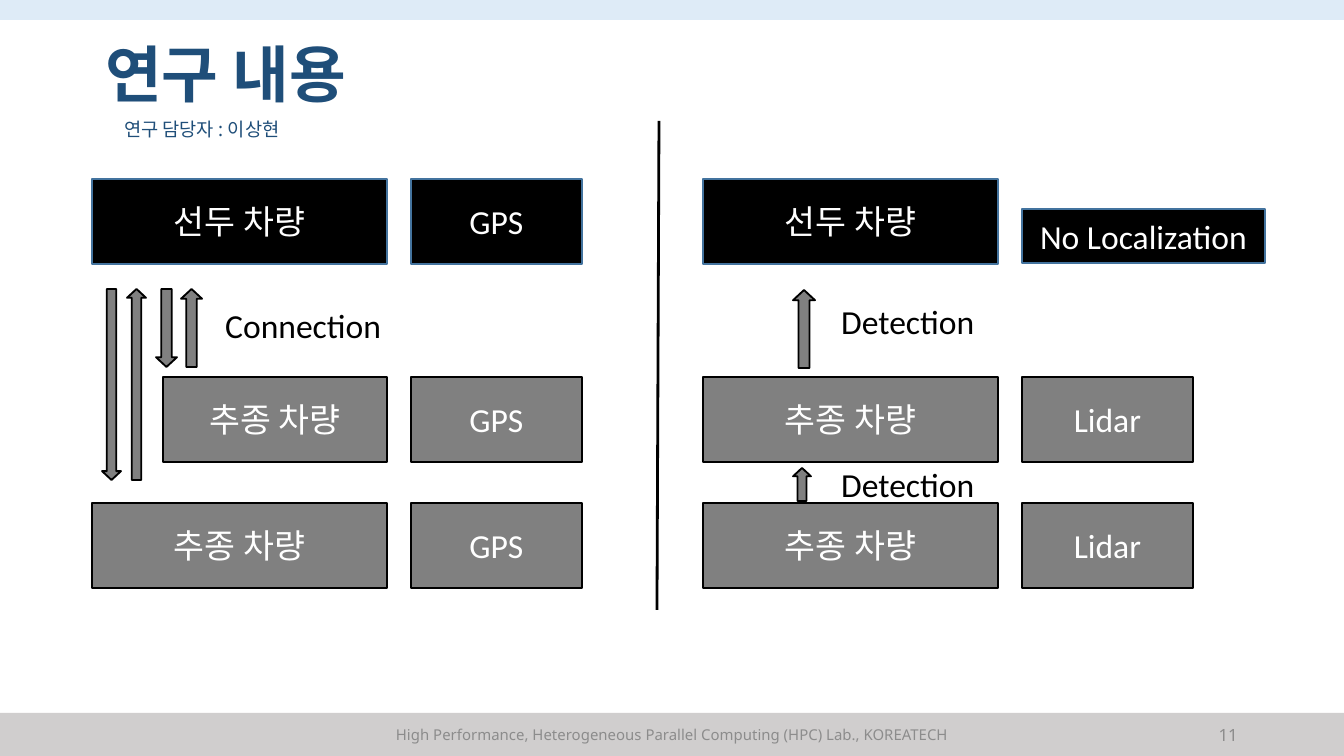
from dataclasses import dataclass

from lxml.etree import SubElement
from pptx import Presentation
from pptx.dml.color import RGBColor
from pptx.enum.shapes import MSO_CONNECTOR, MSO_SHAPE
from pptx.enum.text import MSO_ANCHOR, PP_ALIGN
from pptx.oxml.ns import qn
from pptx.util import Pt

PX = 914400 / 134.4
WIDTH, HEIGHT = 1344, 756


@dataclass(frozen=True)
class Theme:
    navy: str = "1F4E79"
    top_band: str = "DEEBF7"
    bottom_band: str = "D0CECE"
    muted: str = "8C8C8C"
    black: str = "000000"
    gray: str = "808080"
    outline: str = "43739E"
    white: str = "FFFFFF"
    heading_font: str = "Noto Sans"
    body_font: str = "Calibri"
    title: int = 33
    body: int = 18
    subtitle: int = 10
    number: int = 9
    footer: int = 8


THEME = Theme()
BOX_HEIGHT = 85
VEHICLE_WIDTH, SENSOR_WIDTH, SENSOR_LEFT = 295, 171, 319
FOLLOWER_ROWS = (198, 324)


def emu(*lengths):
    return [round(length * PX) for length in lengths]


def write(shape, text, size, color, font, align=PP_ALIGN.LEFT, bold=False, spacing=None):
    paragraph = shape.text_frame.paragraphs[0]
    paragraph.text = text
    paragraph.alignment = align
    paragraph.line_spacing = spacing
    paragraph.font.size = Pt(size)
    paragraph.font.name = font
    paragraph.font.bold = bold
    paragraph.font.color.rgb = RGBColor.from_string(color)


def add_text(slide, box, text, size, color, font=THEME.heading_font,
             anchor=MSO_ANCHOR.MIDDLE, wrap=True, **style):
    shape = slide.shapes.add_textbox(*emu(*box))
    shape.text_frame.word_wrap = wrap
    shape.text_frame.vertical_anchor = anchor
    write(shape, text, size, color, font, **style)


def add_filled(slide, kind, box, fill, line=None):
    shape = slide.shapes.add_shape(kind, *emu(*box))
    shape.shadow.inherit = False
    shape.fill.solid()
    shape.fill.fore_color.rgb = RGBColor.from_string(fill)
    if line:
        shape.line.color.rgb = RGBColor.from_string(line)
        shape.line.width = Pt(1)
    else:
        shape.line.fill.background()
    return shape


def add_node(slide, box, text, leader=False):
    fill, line = (THEME.black, THEME.outline) if leader else (THEME.gray, THEME.black)
    shape = add_filled(slide, MSO_SHAPE.RECTANGLE, box, fill, line)
    shape.text_frame.vertical_anchor = MSO_ANCHOR.MIDDLE
    write(shape, text, THEME.body, THEME.white, THEME.body_font, PP_ALIGN.CENTER)


def add_arrow(slide, box, up=True):
    shape = add_filled(slide, MSO_SHAPE.DOWN_ARROW, box, THEME.gray, THEME.black)
    shape.adjustments[0] = 0.5
    shape.adjustments[1] = 0.463
    shape.rotation = 180 if up else 0


def add_label(slide, box, text):
    add_text(slide, box, text, THEME.body, THEME.black, THEME.body_font,
             anchor=MSO_ANCHOR.TOP, wrap=False)


def add_bands(slide, width, height):
    add_filled(slide, MSO_SHAPE.RECTANGLE, (0, height - 43, width, 43), THEME.bottom_band)
    add_filled(slide, MSO_SHAPE.RECTANGLE, (0, 0, width, 20), THEME.top_band)


def add_header(slide, left, top):
    add_text(slide, (left, top, 1159, 67), "연구 내용", THEME.title, THEME.navy,
             bold=True, spacing=0.9)
    add_text(slide, (left + 19, top + 53, 517, 67), "연구 담당자 : 이상현",
             THEME.subtitle, THEME.navy, spacing=0.9)


def add_footer(slide, top):
    add_text(slide, (203, top, 939, 40),
             "High Performance, Heterogeneous Parallel Computing (HPC) Lab., KOREATECH",
             THEME.footer, THEME.muted, align=PP_ALIGN.CENTER)
    add_text(slide, (1176, top, 75, 40), "11", THEME.number, THEME.muted,
             align=PP_ALIGN.RIGHT)


def add_divider(slide, start, end):
    line = slide.shapes.add_connector(MSO_CONNECTOR.STRAIGHT, *emu(*start, *end))
    line.line.color.rgb = RGBColor.from_string(THEME.black)
    line.line.width = Pt(1.5)
    SubElement(line._element.spPr, qn("a:effectLst"))


def add_convoy(slide, left, top, sensor, lead_sensor, lead_box, indents):
    add_node(slide, (left, top, VEHICLE_WIDTH, BOX_HEIGHT), "선두 차량", leader=True)
    sensor_left = left + SENSOR_LEFT
    lead_top, lead_width, lead_height = lead_box
    add_node(slide, (sensor_left, top + lead_top, lead_width, lead_height),
             lead_sensor, leader=True)
    for row, indent in zip(FOLLOWER_ROWS, indents):
        add_node(slide, (left + indent, top + row, VEHICLE_WIDTH - indent, BOX_HEIGHT),
                 "추종 차량")
        add_node(slide, (sensor_left, top + row, SENSOR_WIDTH, BOX_HEIGHT), sensor)


def add_connected_panel(slide, left, top):
    add_convoy(slide, left, top, "GPS", "GPS", (0, SENSOR_WIDTH, BOX_HEIGHT), (71, 0))
    for offset, width, height in ((10, 19, 191), (64, 21, 78)):
        for step, up in ((0, False), (25, True)):
            add_arrow(slide, (left + offset + step, top + 110, width, height), up)
    add_label(slide, (left + 120, top + 119, 185, 54), "Connection")


def add_detection_panel(slide, left, top):
    add_convoy(slide, left, top, "Lidar", "No Localization", (30, 243, 54), (0, 0))
    for arrow_top, width, height, label_top in ((111, 22, 78, 115), (289, 18, 33, 278)):
        add_arrow(slide, (left + 90, top + arrow_top, width, height))
        add_label(slide, (left + 125, top + label_top, 163, 54), "Detection")


def main():
    presentation = Presentation()
    presentation.slide_width, presentation.slide_height = emu(WIDTH, HEIGHT)
    slide = presentation.slides.add_slide(presentation.slide_layouts[6])
    add_bands(slide, WIDTH, HEIGHT)
    add_header(slide, 92, 44)
    add_footer(slide, 715)
    add_divider(slide, (659, 121), (657, 610))
    add_connected_panel(slide, 92, 179)
    add_detection_panel(slide, 703, 179)
    presentation.save("out.pptx")


if __name__ == "__main__":
    main()
